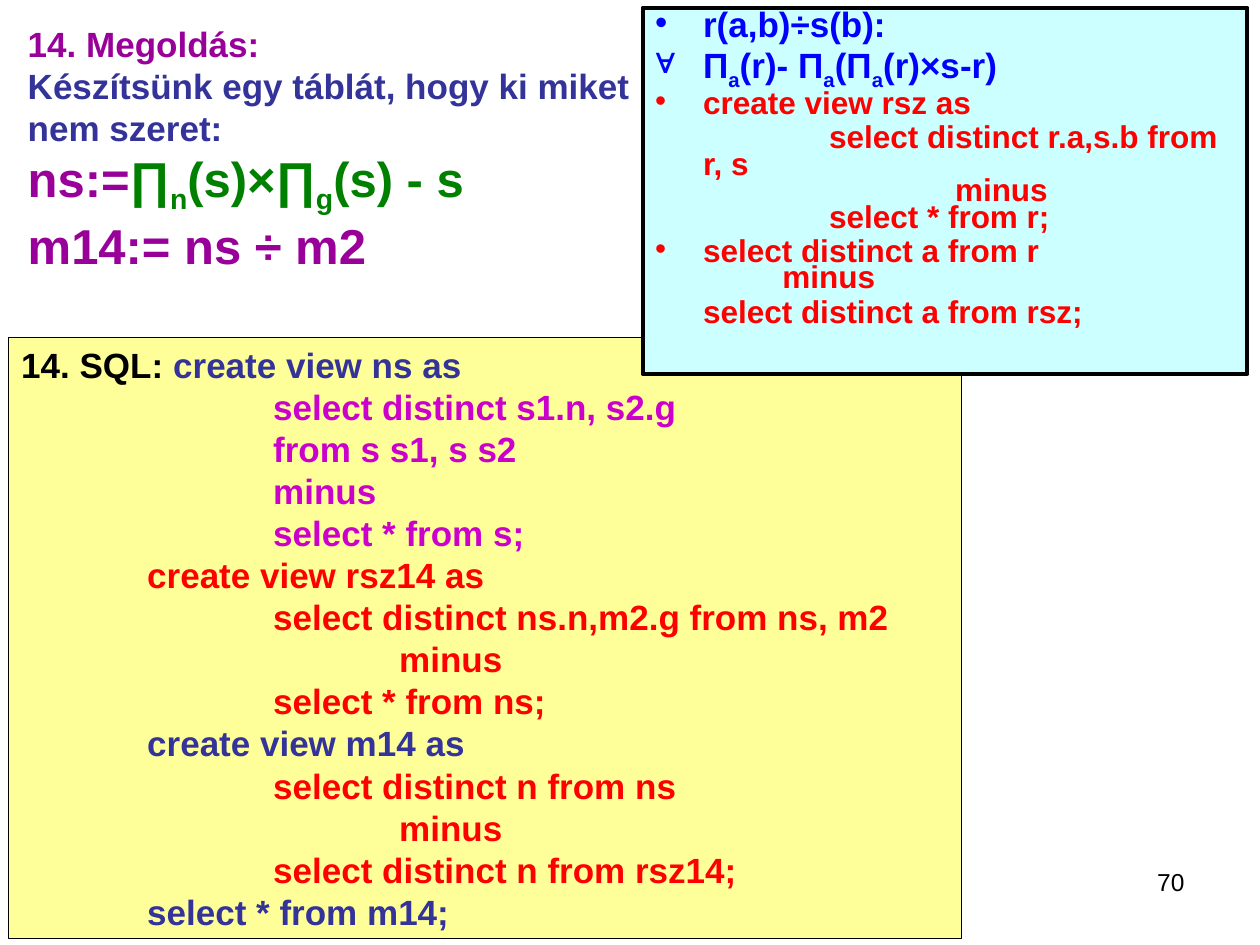
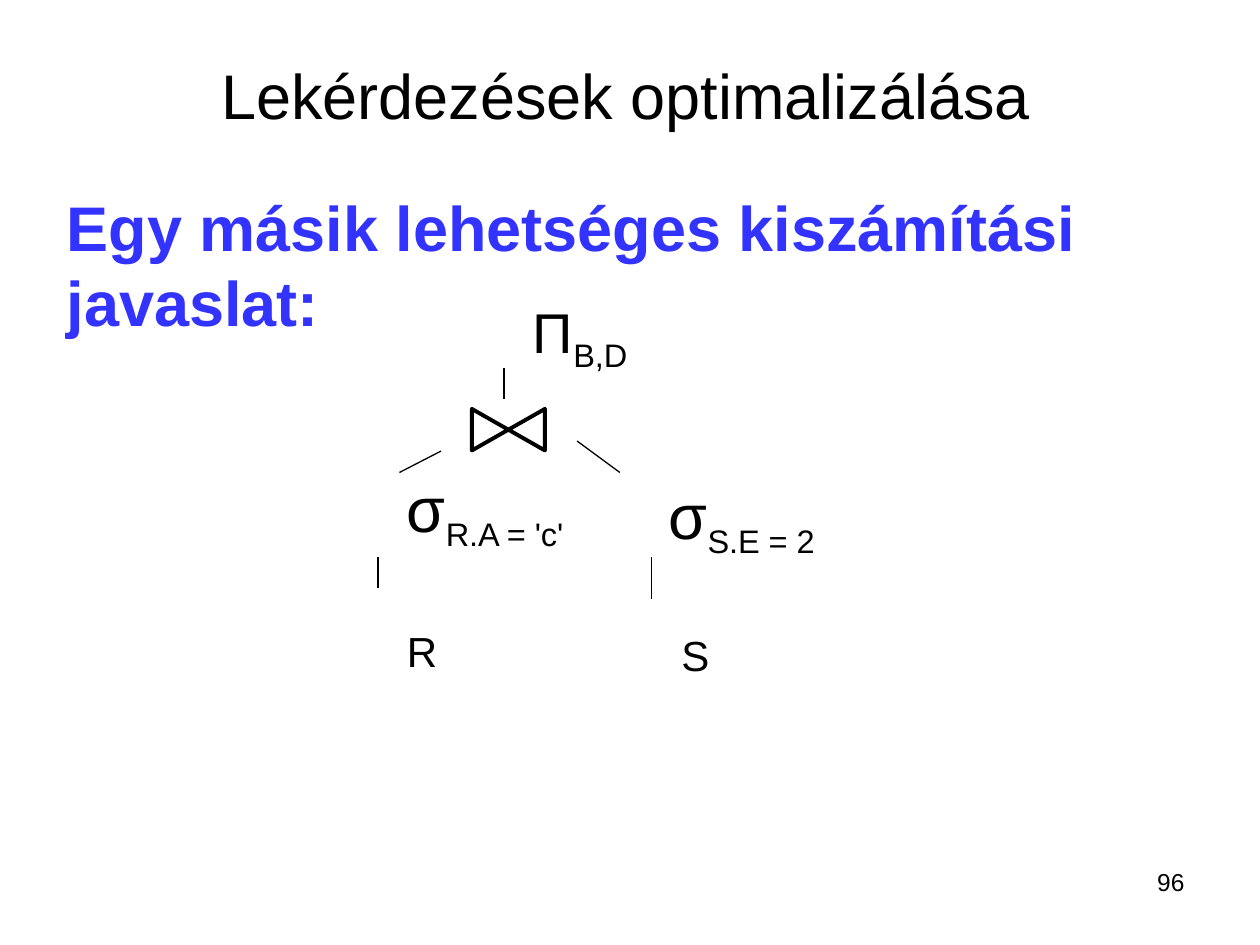
from dataclasses import dataclass

from lxml.etree import SubElement
from pptx import Presentation
from pptx.dml.color import RGBColor
from pptx.enum.shapes import MSO_CONNECTOR, MSO_SHAPE
from pptx.enum.text import MSO_ANCHOR, MSO_AUTO_SIZE, PP_ALIGN
from pptx.oxml.ns import qn
from pptx.util import Inches, Pt


class Theme:
    font = "Arial"
    black, white = "000000", "FFFFFF"
    purple, navy, green = "990099", "333399", "008000"
    magenta, red, blue, violet = "CC00CC", "FF0000", "0000FF", "3333FF"
    yellow, cyan = "FFFF99", "CCFFFF"
    heading, operator, formula, leaf = 36, 32, 28, 24
    code, small_code, number = 20, 18, 14


@dataclass
class Line:
    """One paragraph; {braces} mark subscripts, a list holds (text, colour) parts."""
    text: object
    colour: str = Theme.black
    size: float = Theme.code
    bold: bool = True
    left: float = 0
    first: float = 0
    before: float = 0
    spacing: float = 1.0
    bullet: str = ""
    align: object = PP_ALIGN.LEFT
    subscript_size: float = 0


# Content: slide 1
SOLUTION = [
    Line("14. Megoldás:", Theme.purple),
    Line("Készítsünk egy táblát, hogy ki miket nem szeret:", Theme.navy),
    Line([("ns:=", Theme.purple), ("∏{n}(s)×∏{g}(s) - s", Theme.green)], size=Theme.formula),
    Line("m14:= ns ÷ m2", Theme.purple, Theme.formula),
]
SQL = [  # indent level, text, colour
    (0, [("14. SQL: ", Theme.black), ("create view ns as", Theme.navy)], None),
    (2, "select distinct s1.n, s2.g", Theme.magenta),
    (2, "from s s1, s s2", Theme.magenta),
    (2, "minus", Theme.magenta),
    (2, "select * from s;", Theme.magenta),
    (1, "create view rsz14 as", Theme.red),
    (2, "select distinct ns.n,m2.g from ns, m2", Theme.red),
    (3, "minus", Theme.red),
    (2, "select * from ns;", Theme.red),
    (1, "create view m14 as", Theme.navy),
    (2, "select distinct n from ns", Theme.red),
    (3, "minus", Theme.red),
    (2, "select distinct n from rsz14;", Theme.red),
    (1, "select * from m14;", Theme.navy),
]
HANG = 0.38
DIVISION_RULES = [("•", "r(a,b)÷s(b):", 0), ("∀", "Π{a}(r)- Π{a}(Π{a}(r)×s-r)", 5)]
DIVISION_SQL = [  # bullet, text, first-line indent, space before
    ("•", "create view rsz as", -HANG, 4.5),
    ("", "select distinct r.a,s.b from r, s", 1, 4.5),
    ("", "minus", 2, 0),
    ("", "select * from r;", 1, 0),
    ("•", "select distinct a from r", -HANG, 4.5),
    ("", "minus", 0.63, 0),
    ("", "select distinct a from rsz;", 0, 4.5),
]

# Content: slide 2
HEADING = "Lekérdezések optimalizálása"
PROPOSAL = "Egy másik lehetséges kiszámítási javaslat:"


def selection(text, **layout):
    return Line(text, size=Theme.heading, bold=False, subscript_size=Theme.operator, **layout)


def relation(text, **layout):
    return Line(text, size=Theme.leaf, bold=False, **layout)


LEFT_BRANCH = [
    Line("Π{B,D}", size=Theme.operator, bold=False, left=3.38),
    selection("σ{R.A = 'c'}", left=2.38, before=54.5),
    relation("R", left=2.38, before=41.5),
]
RIGHT_BRANCH = [
    ((5.21, 3.73, 2, 0.8), selection("σ{S.E = 2}")),
    ((5.31, 4.95, 1, 0.5), relation("S")),
]
TREE_EDGES = [
    (4, 2.92, 4, 3.17), (3.5, 3.58, 3.17, 3.75), (4.58, 3.5, 4.92, 3.75),
    (3, 4.42, 3, 4.67), (5.17, 4.42, 5.17, 4.75),
]


def rgb(colour):
    return RGBColor.from_string(colour)


def set_bullet(para, line):
    properties = para._p.get_or_add_pPr()
    properties.set("marL", str(Inches(line.left)))
    properties.set("indent", str(Inches(line.first)))
    if line.bullet:
        colour = SubElement(properties, qn("a:buClr"))
        SubElement(colour, qn("a:srgbClr"), val=line.colour)
        SubElement(properties, qn("a:buChar"), char=line.bullet)
    else:
        SubElement(properties, qn("a:buNone"))


def add_spans(para, text, line, colour=None):
    pieces = text.replace("}", "{").split("{")
    for index, piece in enumerate(pieces):
        if not piece:
            continue
        span = para.add_run()
        span.text = piece
        if colour:
            span.font.color.rgb = rgb(colour)
        if index % 2:
            span.font._element.set("baseline", "-25000")
            if line.subscript_size:
                span.font.size = Pt(line.subscript_size)


def write(box, lines, anchor=MSO_ANCHOR.TOP):
    frame = box.text_frame
    frame.word_wrap = True
    frame.auto_size = MSO_AUTO_SIZE.NONE
    frame.vertical_anchor = anchor
    for index, line in enumerate(lines):
        para = frame.add_paragraph() if index else frame.paragraphs[0]
        set_bullet(para, line)
        para.alignment = line.align
        para.line_spacing = line.spacing
        para.space_before = Pt(line.before)
        para.space_after = Pt(0)
        para.font.name = Theme.font
        para.font.size = Pt(line.size)
        para.font.bold = line.bold
        if isinstance(line.text, str):
            para.font.color.rgb = rgb(line.colour)
            add_spans(para, line.text, line)
        else:
            for text, colour in line.text:
                add_spans(para, text, line, colour)


def place(box, left, top, width, height):
    box.left, box.top = Inches(left), Inches(top)
    box.width, box.height = Inches(width), Inches(height)


def paint(shape, fill, width):
    shape.fill.solid()
    shape.fill.fore_color.rgb = rgb(fill)
    shape.line.color.rgb = rgb(Theme.black)
    shape.line.width = Pt(width)


def add_panel(page, kind, area, fill, width):
    panel = page.shapes.add_shape(kind, *map(Inches, area))
    panel.shadow.inherit = False
    paint(panel, fill, width)
    return panel


def add_text(page, area, line, anchor=MSO_ANCHOR.TOP):
    write(page.shapes.add_textbox(*map(Inches, area)), [line], anchor)


def add_edge(page, ends):
    edge = page.shapes.add_connector(MSO_CONNECTOR.STRAIGHT, *map(Inches, ends))
    edge.line.color.rgb = rgb(Theme.black)
    edge.line.width = Pt(0.75)
    SubElement(edge._element.spPr, qn("a:effectLst"))


def add_page(deck, number):
    page = deck.slides.add_slide(deck.slide_layouts[1])
    add_text(page, (7.17, 6.83, 2.33, 0.52),
             Line(str(number), size=Theme.number, bold=False, align=PP_ALIGN.RIGHT))
    return page, page.shapes.title, page.placeholders[1]


def build_division(deck):
    page, title, body = add_page(deck, 70)
    place(title, 0.12, 0.13, 5.12, 3.04)
    write(title, SOLUTION)

    # SQL panel
    panel = add_panel(page, MSO_SHAPE.RECTANGLE, (0.07, 2.68, 7.56, 4.77), Theme.yellow, 0.75)
    write(panel, [Line(text, colour, left=level) for level, text, colour in SQL])

    # Division recipe, in front of the SQL panel
    place(body, 5.1, 0.06, 4.8, 2.91)
    paint(body, Theme.cyan, 2.25)
    rules = [Line(text, Theme.blue, left=HANG, first=-HANG, before=before, spacing=0.7,
                  bullet=bullet) for bullet, text, before in DIVISION_RULES]
    steps = [Line(text, Theme.red, Theme.small_code, left=HANG, first=first, before=before,
                  spacing=0.7, bullet=bullet) for bullet, text, first, before in DIVISION_SQL]
    write(body, rules + steps)
    page.shapes._spTree.append(body._element)


def build_query_tree(deck):
    page, title, body = add_page(deck, 96)
    place(title, 0.43, 1.47, 8.5, 1.25)
    write(title, [Line(PROPOSAL, Theme.violet, Theme.heading)], MSO_ANCHOR.MIDDLE)
    add_text(page, (0.51, 0.6, 8.91, 0.3),
             Line(HEADING, size=Theme.heading, bold=False, align=PP_ALIGN.CENTER),
             MSO_ANCHOR.MIDDLE)

    # Expression tree: labels, join sign, edges
    place(body, 0.75, 2.31, 8.5, 3.86)
    write(body, LEFT_BRANCH)
    for area, line in RIGHT_BRANCH:
        add_text(page, area, line)
    join = add_panel(page, MSO_SHAPE.FLOWCHART_COLLATE, (3.87, 3.12, 0.33, 0.58),
                     Theme.white, 2.25)
    join.rotation = 270
    for ends in TREE_EDGES:
        add_edge(page, ends)


def main():
    deck = Presentation()
    deck.slide_width, deck.slide_height = Inches(10), Inches(7.5)
    build_division(deck)
    build_query_tree(deck)
    deck.save("out.pptx")


if __name__ == "__main__":
    main()
